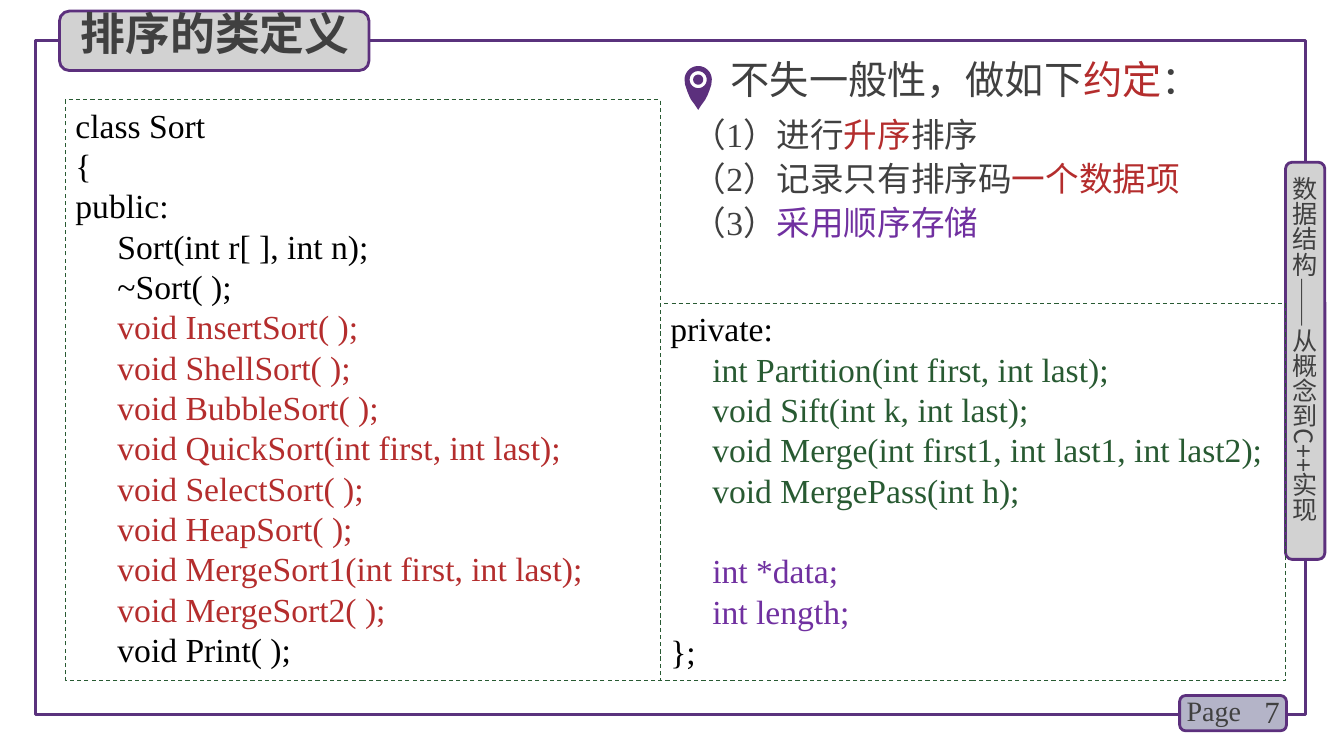
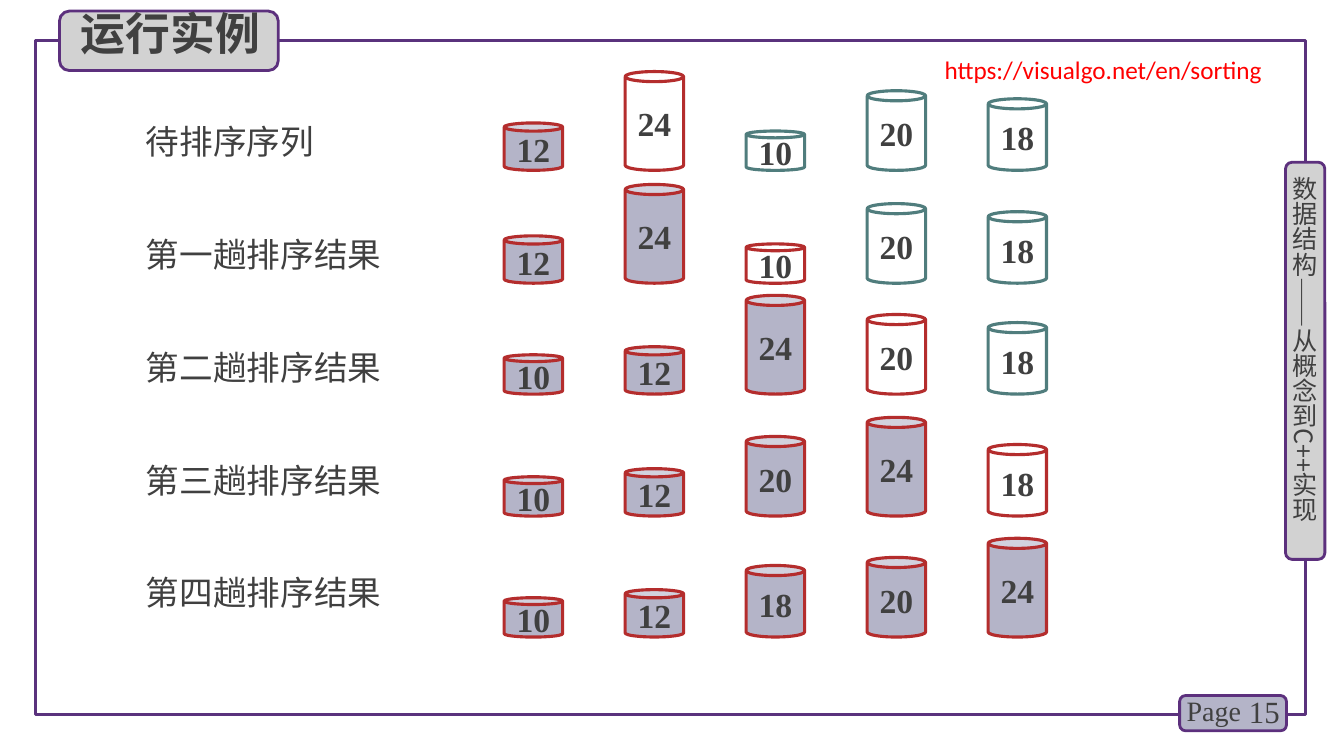
from dataclasses import dataclass
from math import cos, pi, sin
from typing import NamedTuple

from lxml.etree import SubElement
from pptx import Presentation
from pptx.dml.color import RGBColor
from pptx.enum.dml import MSO_LINE
from pptx.enum.shapes import MSO_SHAPE as SHAPE
from pptx.enum.text import MSO_ANCHOR as ANCHOR, MSO_AUTO_SIZE as FIT, PP_ALIGN as ALIGN
from pptx.oxml.ns import qn
from pptx.util import Emu, Pt

PX = 9144  # 100 px to the inch
SERIF, SANS, CALIBRI = "Times New Roman", "Noto Sans CJK SC", "Calibri"
INK, BLACK, RED, LINK = "404040", "000000", "B42D2D", "FF0000"
PURPLE, FRAME, VIOLET = "5C307D", "5A327D", "7030A0"
GREEN, TEAL, GREY, LAVENDER = "285A32", "507D7D", "D2D2D2", "B4B4C8"
CJK_SPACING = 0.9


class Box(NamedTuple):
    x: int
    y: int
    w: int
    h: int

    def emu(self) -> list[Emu]:
        return [Emu(v * PX) for v in self]


class Run(NamedTuple):
    text: str
    color: str = INK


@dataclass
class Para:
    runs: list[Run]
    before: float = 0


@dataclass
class Style:
    size: int
    font: str = SERIF
    bold: bool = False
    align: ALIGN = ALIGN.LEFT
    anchor: ANCHOR = ANCHOR.TOP
    spacing: float | Pt = 1.0
    wrap: bool = True


@dataclass
class SortPass:
    label: str
    label_y: int
    bottom: int
    values: list[int]


TITLE = Style(32, SANS, bold=True, spacing=CJK_SPACING)
HEADING = Style(28, spacing=CJK_SPACING)
LIST = Style(24, spacing=CJK_SPACING)
LABEL = Style(24, SANS, spacing=CJK_SPACING)
CODE = Style(24, spacing=Pt(28.8))
CAN = Style(24, bold=True, align=ALIGN.CENTER, anchor=ANCHOR.MIDDLE, wrap=False)

CONVENTIONS = [
    Para([Run("（1）进行"), Run("升序", RED), Run("排序")]),
    Para([Run("（2）记录只有排序码"), Run("一个数据项", RED)], 5.4),
    Para([Run("（3）"), Run("采用顺序存储", VIOLET)], 5.4),
]

PUBLIC_CODE = [
    ("class Sort", BLACK),
    ("{", BLACK),
    ("public:", BLACK),
    ("     Sort(int r[ ], int n);", BLACK),
    ("     ~Sort( );", BLACK),
    ("     void InsertSort( );", RED),
    ("     void ShellSort( );", RED),
    ("     void BubbleSort( );", RED),
    ("     void QuickSort(int first, int last);", RED),
    ("     void SelectSort( );", RED),
    ("     void HeapSort( );", RED),
    ("     void MergeSort1(int first, int last);", RED),
    ("     void MergeSort2( );", RED),
    ("     void Print( );", BLACK),
]
PRIVATE_CODE = [
    ("private:", BLACK),
    ("     int Partition(int first, int last);", GREEN),
    ("     void Sift(int k, int last);", GREEN),
    ("     void Merge(int first1, int last1, int last2);", GREEN),
    ("     void MergePass(int h);", GREEN),
]
DATA_CODE = [
    ("     int *data;", VIOLET),
    ("     int length;", VIOLET),
    ("};", BLACK),
]

CAN_HEIGHTS = {10: 39, 12: 47, 18: 71, 20: 79, 24: 98}
PASSES = [
    SortPass("待排序序列", 120, 169, [12, 24, 10, 20, 18]),
    SortPass("第一趟排序结果", 232, 281, [12, 24, 10, 20, 18]),
    SortPass("第二趟排序结果", 344, 391, [10, 12, 24, 20, 18]),
    SortPass("第三趟排序结果", 456, 512, [10, 12, 20, 24, 18]),
    SortPass("第四趟排序结果", 567, 632, [10, 12, 18, 20, 24]),
]


def rgb(color: str) -> RGBColor:
    return RGBColor.from_string(color)


def write(sp, paras: list[Para], style: Style, plain_list: bool = False) -> None:
    """Fill a shape with paragraphs; plain_list drops inherited bullets."""
    tf = sp.text_frame
    frame_format = {"auto_size": FIT.NONE, "word_wrap": style.wrap,
                    "vertical_anchor": style.anchor}
    for name, value in frame_format.items():
        setattr(tf, name, value)
    for i, para in enumerate(paras):
        p = tf.paragraphs[0] if i == 0 else tf.add_paragraph()
        if plain_list:
            pPr = p._p.get_or_add_pPr()
            pPr.set("marL", "0")
            pPr.set("indent", "0")
            SubElement(pPr, qn("a:buNone"))
        para_format = {"alignment": style.align, "line_spacing": style.spacing,
                       "space_before": Pt(para.before), "space_after": Pt(0)}
        for name, value in para_format.items():
            setattr(p, name, value)
        for text, color in para.runs:
            r = p.add_run()
            r.text = text
            run_format = {"size": Pt(style.size), "bold": style.bold, "name": style.font}
            for name, value in run_format.items():
                setattr(r.font, name, value)
            r.font.color.rgb = rgb(color)
            SubElement(r._r.get_or_add_rPr(), qn("a:ea")).set("typeface", SANS)


def paint(sp, fill: str | None, line: str | None, width: float = 2) -> None:
    sp.shadow.inherit = False
    if fill:
        sp.fill.solid()
        sp.fill.fore_color.rgb = rgb(fill)
    else:
        sp.fill.background()
    if line:
        sp.line.color.rgb = rgb(line)
        sp.line.width = Pt(width)
    else:
        sp.line.fill.background()


def add_shape(s, kind: SHAPE, box: Box, fill: str | None, line: str, width: float = 2):
    sp = s.shapes.add_shape(kind, *box.emu())
    paint(sp, fill, line, width)
    return sp


def add_text(s, box: Box, text: str | list[Run], style: Style, color: str = INK):
    sp = s.shapes.add_textbox(*box.emu())
    runs = [Run(text, color)] if isinstance(text, str) else text
    write(sp, [Para(runs)], style)
    return sp


def place(sp, box: Box) -> None:
    sp.left, sp.top, sp.width, sp.height = box.emu()


def add_slide(prs, layout: int, title: str, plate_w: int, title_w: int, page: int):
    """Start a slide with the shared frame, page tag, side tab and title plate."""
    s = prs.slides.add_slide(prs.slide_layouts[layout])
    add_shape(s, SHAPE.RECTANGLE, Box(35, 40, 1260, 669), None, FRAME, 2.25)
    add_shape(s, SHAPE.ROUNDED_RECTANGLE, Box(1170, 690, 106, 35), LAVENDER, PURPLE)
    add_text(s, Box(1220, 686, 59, 40), str(page),
             Style(22, align=ALIGN.RIGHT, anchor=ANCHOR.MIDDLE))
    add_text(s, Box(1167, 683, 78, 44), "Page", Style(20))

    add_shape(s, SHAPE.ROUNDED_RECTANGLE, Box(1275, 161, 39, 394), GREY, PURPLE)
    side = add_text(s, Box(1279, 175, 30, 378), "数据结构——从概念到C++实现", Style(18, SANS))
    for margin in ("left", "right", "top", "bottom"):
        setattr(side.text_frame, f"margin_{margin}", 0)
    side.text_frame._txBody.bodyPr.set("vert", "eaVert")

    add_shape(s, SHAPE.ROUNDED_RECTANGLE, Box(59, 11, plate_w, 59), GREY, PURPLE)
    heading = s.shapes.title
    place(heading, Box(70, 7, title_w, 64))
    write(heading, [Para([Run(title)])], TITLE)
    s.shapes.element.append(heading._element)  # in front of its plate
    return s


def arc(cx: float, cy: float, radius: float, start: float, end: float, steps: int = 24):
    angles = [start + (end - start) * i / steps for i in range(steps + 1)]
    return [(cx + radius * cos(a), cy + radius * sin(a)) for a in angles]


def add_pin(s, cx: float, cy: float) -> None:
    """Draw a map pin: a drop with a ring cut out of its head."""
    flank = [(13, 5), (12, 8), (11, 11), (9, 16), (7, 20), (4, 24), (2, 27)]
    drop = arc(cx, cy, 13.5, pi, 2 * pi)
    drop += [(cx + dx, cy + dy) for dx, dy in flank] + [(cx, cy + 30)]
    drop += [(cx - dx, cy + dy) for dx, dy in reversed(flank)]
    contours = [drop] + [arc(cx, cy, radius, 0, 2 * pi) for radius in (8.5, 5)]
    contours = [[(round(x * PX), round(y * PX)) for x, y in c] for c in contours]
    builder = s.shapes.build_freeform(*contours[0][0])
    for i, contour in enumerate(contours):
        if i:
            builder.move_to(*contour[0])
        builder.add_line_segments(contour[1:], close=True)
    paint(builder.convert_to_shape(), PURPLE, None)


def code_paras(lines: list[tuple[str, str]], before: float = 0) -> list[Para]:
    return [Para([Run(*line)], 0 if i else before) for i, line in enumerate(lines)]


def add_code(s, box: Box, paras: list[Para]) -> None:
    sp = add_shape(s, SHAPE.RECTANGLE, box, None, GREEN, 0.75)
    sp.line.dash_style = MSO_LINE.DASH
    write(sp, paras, CODE)


def class_slide(prs) -> None:
    s = add_slide(prs, 1, "排序的类定义", 307, 289, 7)
    add_text(s, Box(715, 55, 498, 57),
             [Run("不失一般性，做如下"), Run("约定", RED), Run("：")], HEADING)
    add_pin(s, 692.5, 79)
    body = s.placeholders[1]
    place(body, Box(677, 113, 602, 152))
    write(body, CONVENTIONS, LIST, plain_list=True)
    add_code(s, Box(65, 99, 590, 576), code_paras(PUBLIC_CODE))
    add_code(s, Box(655, 301, 620, 374),
             code_paras(PRIVATE_CODE) + code_paras(DATA_CODE, before=28.8))


def example_slide(prs) -> None:
    s = add_slide(prs, 5, "运行实例", 217, 210, 15)
    for n, row in enumerate(PASSES):
        add_text(s, Box(135, row.label_y, 293, 50), row.label, LABEL)
        for i, value in enumerate(row.values):
            h = CAN_HEIGHTS[value]
            can = add_shape(s, SHAPE.CAN, Box(500 + 120 * i, row.bottom - h, 58, h),
                            LAVENDER if i <= n else None,
                            RED if i <= n + 1 else TEAL, 2.25)
            can.adjustments[0] = 0.173
            write(can, [Para([Run(str(value))])], CAN)
    add_text(s, Box(927, 49, 350, 40), "https://visualgo.net/en/sorting",
             Style(18, CALIBRI), LINK)


def main() -> None:
    prs = Presentation()
    prs.slide_width, prs.slide_height = Emu(1333 * PX), Emu(750 * PX)
    class_slide(prs)
    example_slide(prs)
    prs.save("out.pptx")


if __name__ == "__main__":
    main()
